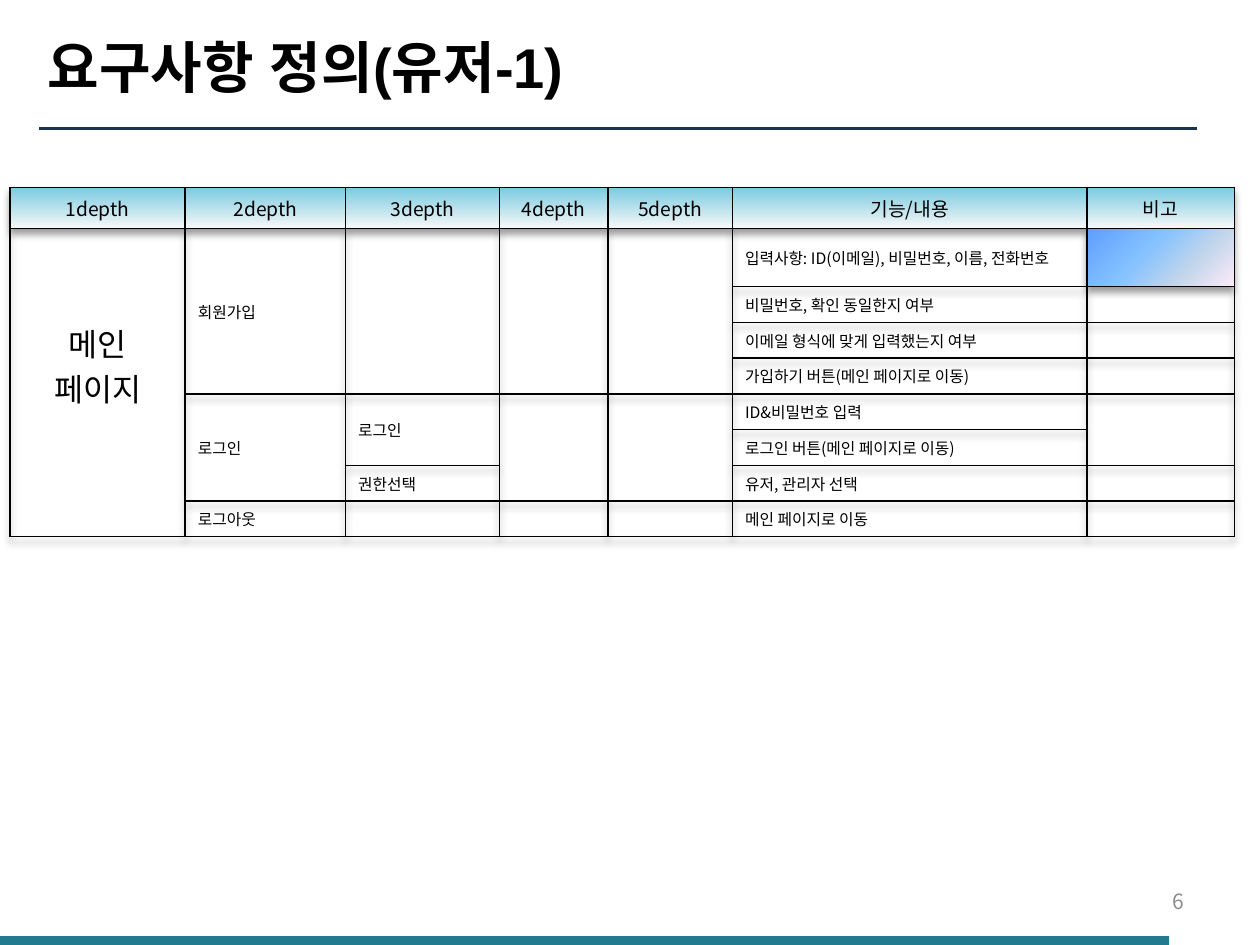
from lxml.etree import SubElement
from pptx import Presentation
from pptx.dml.color import RGBColor
from pptx.enum.shapes import MSO_CONNECTOR, MSO_SHAPE
from pptx.enum.text import MSO_ANCHOR, PP_ALIGN
from pptx.oxml.ns import qn
from pptx.util import Cm, Pt

BLACK = RGBColor(0x00, 0x00, 0x00)
GRAY = RGBColor(0x8C, 0x8C, 0x8C)
NAVY = RGBColor(0x1C, 0x31, 0x4E)
TEAL = RGBColor(0x22, 0x7A, 0x8F)
HEADER_STOPS = [(0, RGBColor(0x7A, 0xCB, 0xE0)), (100, RGBColor(0xF8, 0xF8, 0xF8))]
NOTE_STOPS = [(0, RGBColor(0x5E, 0x9E, 0xFF)), (40, RGBColor(0x85, 0xC2, 0xFF)),
              (70, RGBColor(0xC4, 0xD6, 0xEB)), (100, RGBColor(0xFF, 0xEB, 0xFA))]
BODY_FONT = "Noto Sans CJK KR"

HEADERS = ["1depth", "2depth", "3depth", "4depth", "5depth", "기능/내용", "비고"]
COLUMN_WIDTHS = [3.53, 3.23, 3.1, 2.18, 2.51, 7.14, 2.97]
ROW_HEIGHTS = [0.83, 1.17] + [0.72] * 7
FEATURES = [
    "입력사항: ID(이메일), 비밀번호, 이름, 전화번호",
    "비밀번호, 확인 동일한지 여부",
    "이메일 형식에 맞게 입력했는지 여부",
    "가입하기 버튼(메인 페이지로 이동)",
    "ID&비밀번호 입력",
    "로그인 버튼(메인 페이지로 이동)",
    "유저, 관리자 선택",
    "메인 페이지로 이동",
]
DEPTHS = {(1, 1): "회원가입", (5, 1): "로그인", (8, 1): "로그아웃",
          (5, 2): "로그인", (7, 2): "권한선택"}
ROW_SPANS = {(1, 0): 8, (1, 1): 4, (1, 2): 4, (1, 3): 4, (1, 4): 4,
             (5, 1): 3, (5, 2): 2, (5, 3): 3, (5, 4): 3, (5, 6): 2}


def add_element(parent, tag, **attributes):
    """Append a DrawingML element and return it."""
    return SubElement(parent, qn(tag), {name: str(value) for name, value in attributes.items()})


def write_text(frame, text, size=9, font=BODY_FONT, color=BLACK, bold=False, align=PP_ALIGN.LEFT):
    """Write each line of the text as a formatted paragraph."""
    frame.word_wrap = True
    for index, line in enumerate(text.split("\n")):
        paragraph = frame.paragraphs[0] if index == 0 else frame.add_paragraph()
        paragraph.alignment = align
        if not line:
            add_element(paragraph._p, "a:endParaRPr", sz=size * 100)
            continue
        run = paragraph.add_run()
        run.text = line
        run.font.size, run.font.name, run.font.bold = Pt(size), font, bold
        run.font.color.rgb = color
        add_element(run.font._element, "a:ea", typeface=font)


def add_text(slide, left, top, width, height, text, **text_format):
    """Add a vertically centred text box."""
    frame = slide.shapes.add_textbox(left, top, width, height).text_frame
    frame.vertical_anchor = MSO_ANCHOR.MIDDLE
    write_text(frame, text, **text_format)


def add_gradient(parent, stops, angle):
    """Append a linear gradient fill."""
    gradient = add_element(parent, "a:gradFill", rotWithShape=1)
    stop_list = add_element(gradient, "a:gsLst")
    for position, color in stops:
        stop = add_element(stop_list, "a:gs", pos=position * 1000)
        add_element(stop, "a:srgbClr", val=color)
    add_element(gradient, "a:lin", ang=angle * 60000, scaled=0)


def style_cell(cell, stops=None, angle=90):
    """Give a cell black borders and a gradient or no fill."""
    cell.vertical_anchor = MSO_ANCHOR.MIDDLE
    properties = cell._tc.get_or_add_tcPr()
    for side in ("a:lnL", "a:lnR", "a:lnT", "a:lnB"):
        border = add_element(properties, side, w=Pt(1))
        add_element(add_element(border, "a:solidFill"), "a:srgbClr", val=BLACK)
    if stops:
        add_gradient(properties, stops, angle)
    else:
        cell.fill.background()


def add_table_shadow(table):
    """Give the table a soft shadow below it."""
    effects = add_element(table._tbl.tblPr, "a:effectLst")
    shadow = add_element(effects, "a:outerShdw", blurRad=Pt(4), dist=Pt(3),
                         dir=5400000, algn="t", rotWithShape=0)
    add_element(add_element(shadow, "a:srgbClr", val=BLACK), "a:alpha", val=40000)


def add_heading(slide, left, top, width, height):
    """Add the title and the rule beneath it."""
    add_text(slide, left, top, width, height, "요구사항 정의(유저-1)", size=32, font="Arial", bold=True)
    rule_top = top + height + Cm(0.03)
    rule = slide.shapes.add_connector(
        MSO_CONNECTOR.STRAIGHT, left + Cm(0.08), rule_top, left + width - Cm(0.28), rule_top)
    rule.line.color.rgb = NAVY
    rule.line.width = Pt(1.5)
    add_element(rule._element.spPr, "a:effectLst")


def add_requirements(slide, left, top, width, height):
    """Add the requirements table, sized to its box."""
    table = slide.shapes.add_table(
        len(ROW_HEIGHTS), len(HEADERS), left, top, width, height).table
    table.first_row = table.horz_banding = False
    table._tbl.tblPr.remove(table._tbl.tblPr.find(qn("a:tableStyleId")))
    add_table_shadow(table)
    for column, share in zip(table.columns, COLUMN_WIDTHS):
        column.width = int(width * share / sum(COLUMN_WIDTHS))
    for row, share in zip(table.rows, ROW_HEIGHTS):
        row.height = int(height * share / sum(ROW_HEIGHTS))

    texts = {(0, index): header for index, header in enumerate(HEADERS)}
    texts.update({(index, 5): feature for index, feature in enumerate(FEATURES, 1)})
    texts.update(DEPTHS)
    texts[1, 0] = "메인\n페이지"
    for row in range(len(ROW_HEIGHTS)):
        for column in range(len(HEADERS)):
            cell = table.cell(row, column)
            is_header, is_page = row == 0, (row, column) == (1, 0)
            stops = HEADER_STOPS if is_header else NOTE_STOPS if (row, column) == (1, 6) else None
            style_cell(cell, stops, 90 if is_header else 45)
            write_text(cell.text_frame, texts.get((row, column), ""),
                       size=11 if is_header else 18 if is_page else 9,
                       align=PP_ALIGN.CENTER if is_header or is_page else PP_ALIGN.LEFT)
    for (row, column), span in ROW_SPANS.items():
        table.cell(row, column).merge(table.cell(row + span - 1, column))
    table.cell(1, 0).margin_bottom = Cm(0.84)


def add_footer(slide, left, top, width, height):
    """Add the page number and the bar along the bottom."""
    bar_height = Cm(0.2)
    bar = slide.shapes.add_shape(
        MSO_SHAPE.RECTANGLE, left, top + height - bar_height, width, bar_height)
    bar.shadow.inherit = False
    bar.fill.solid()
    bar.fill.fore_color.rgb = TEAL
    bar.line.fill.background()
    add_text(slide, left + Cm(18.24), top, Cm(5.92), Cm(1.02), "6",
             size=12, color=GRAY, align=PP_ALIGN.RIGHT)


def main():
    """Build and save the presentation."""
    presentation = Presentation()
    presentation.slide_width, presentation.slide_height = Cm(25.4), Cm(19.05)
    slide = presentation.slides.add_slide(presentation.slide_layouts[6])
    add_footer(slide, Cm(-0.03), Cm(17.65), Cm(23.6), Cm(1.42))
    add_heading(slide, Cm(0.71), Cm(0.1), Cm(23.7), Cm(2.46))
    add_requirements(slide, Cm(0.2), Cm(3.78), Cm(24.69), Cm(7.04))
    presentation.save("out.pptx")


if __name__ == "__main__":
    main()
